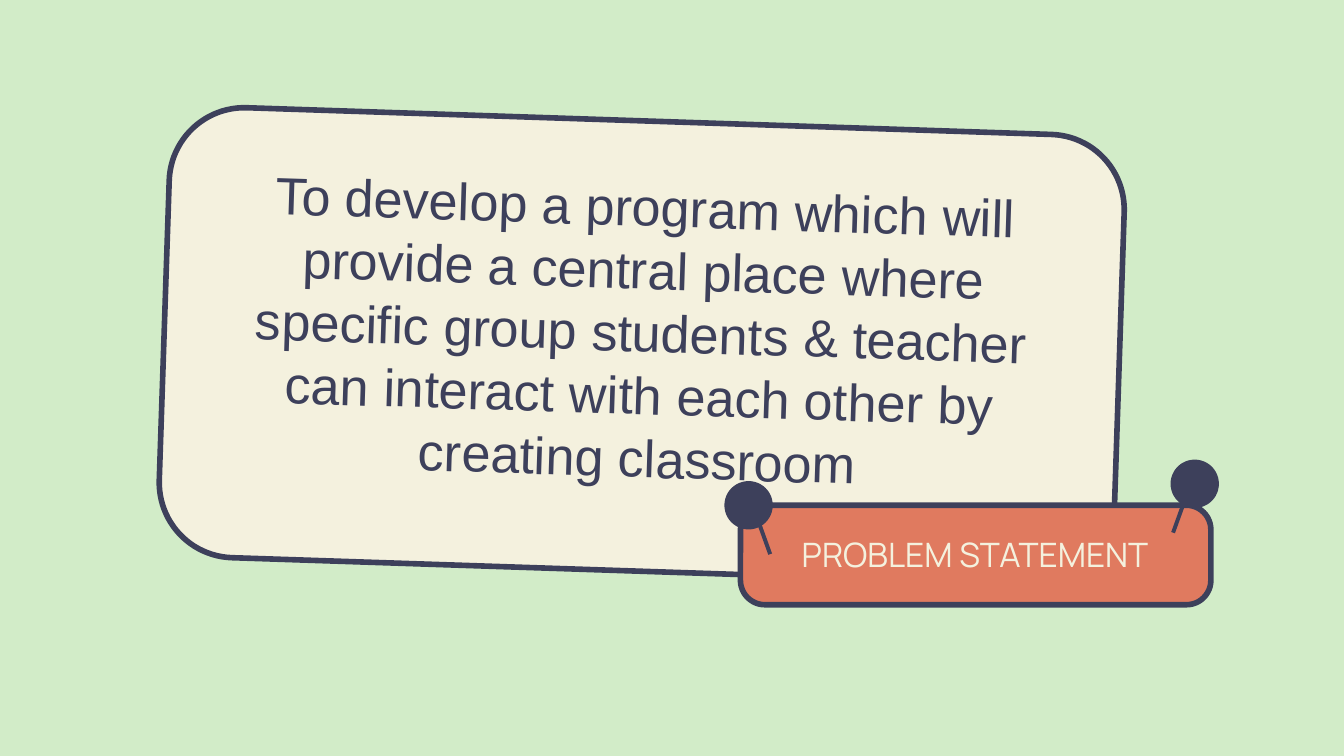
from pptx import Presentation
from pptx.dml.color import RGBColor
from pptx.enum.shapes import MSO_SHAPE
from pptx.enum.text import MSO_ANCHOR, PP_ALIGN
from pptx.util import Inches, Pt

# Content
STATEMENT = (
    "To develop a program which will provide a central place where specific "
    "group students & teacher can interact with each other by creating classroom"
)
TITLE = "PROBLEM STATEMENT"

# Colours and geometry
GREEN, CREAM, NAVY, CORAL = "D2ECC8", "F4F1DE", "3D405B", "E07A5F"
TILT = 1.9
PIN_HEAD, NEEDLE_WIDTH, NEEDLE_LENGTH = 0.36, 0.03, 0.54
NEEDLE_SHIFT, NEEDLE_DROP = 0.07, 0.02  # needle centre and top, from the head
# Each pin: left and top of its head, angle of its needle
PINS = [(8.71, 3.42, 19.8), (5.39, 3.58, -19.8)]

# Page in 16:9
deck = Presentation()
deck.slide_width = Inches(10)
deck.slide_height = Inches(10 * 9 / 16)
page = deck.slides.add_slide(deck.slide_layouts[6])


def color(value):
    return RGBColor.from_string(value)


def add_shape(kind, left, top, width, height, fill, rotation=0, corner=None, outlined=False):
    shape = page.shapes.add_shape(
        kind, Inches(left), Inches(top), Inches(width), Inches(height))
    shape.shadow.inherit = False
    shape.rotation = rotation
    shape.fill.solid()
    shape.fill.fore_color.rgb = color(fill)
    if corner is not None:
        shape.adjustments[0] = corner
    if outlined:
        shape.line.color.rgb = color(NAVY)
        shape.line.width = Pt(3)
    else:
        shape.line.fill.background()


def add_text(text, left, top, width, height, *, font, size, fill,
             rotation=0, anchor=MSO_ANCHOR.TOP):
    box = page.shapes.add_textbox(
        Inches(left), Inches(top), Inches(width), Inches(height))
    box.rotation = rotation
    frame = box.text_frame
    frame.word_wrap = True
    frame.vertical_anchor = anchor
    frame.margin_left = frame.margin_right = 0
    frame.margin_top = frame.margin_bottom = 0
    para = frame.paragraphs[0]
    para.alignment = PP_ALIGN.CENTER
    span = para.add_run()
    span.text = text
    span.font.name = font
    span.font.size = Pt(size)
    span.font.color.rgb = color(fill)


# Background
page.background.fill.solid()
page.background.fill.fore_color.rgb = color(GREEN)

# Tilted card and title plate
add_shape(MSO_SHAPE.ROUNDED_RECTANGLE, 1.22, 0.9, 7.11, 3.35, CREAM,
          rotation=TILT, corner=0.167, outlined=True)
add_shape(MSO_SHAPE.ROUNDED_RECTANGLE, 5.51, 3.76, 3.5, 0.74, CORAL,
          corner=0.245, outlined=True)

# Pins: the needle leans away from the head, toward the plate's middle
for left, top, angle in PINS:
    side = -1 if angle > 0 else 1
    needle_left = left + (PIN_HEAD - NEEDLE_WIDTH) / 2 + side * NEEDLE_SHIFT
    add_shape(MSO_SHAPE.RECTANGLE, needle_left, top + NEEDLE_DROP,
              NEEDLE_WIDTH, NEEDLE_LENGTH, NAVY, rotation=angle)
    add_shape(MSO_SHAPE.OVAL, left, top, PIN_HEAD, PIN_HEAD, NAVY)

# Texts
add_text(STATEMENT, 1.64, 1.3, 6.26, 2.46, font="Arial", size=28, fill=NAVY,
         rotation=TILT)
add_text(TITLE, 5.56, 3.92, 3.39, 0.4, font="Manrope", size=18, fill=CREAM,
         anchor=MSO_ANCHOR.MIDDLE)

deck.save("out.pptx")
